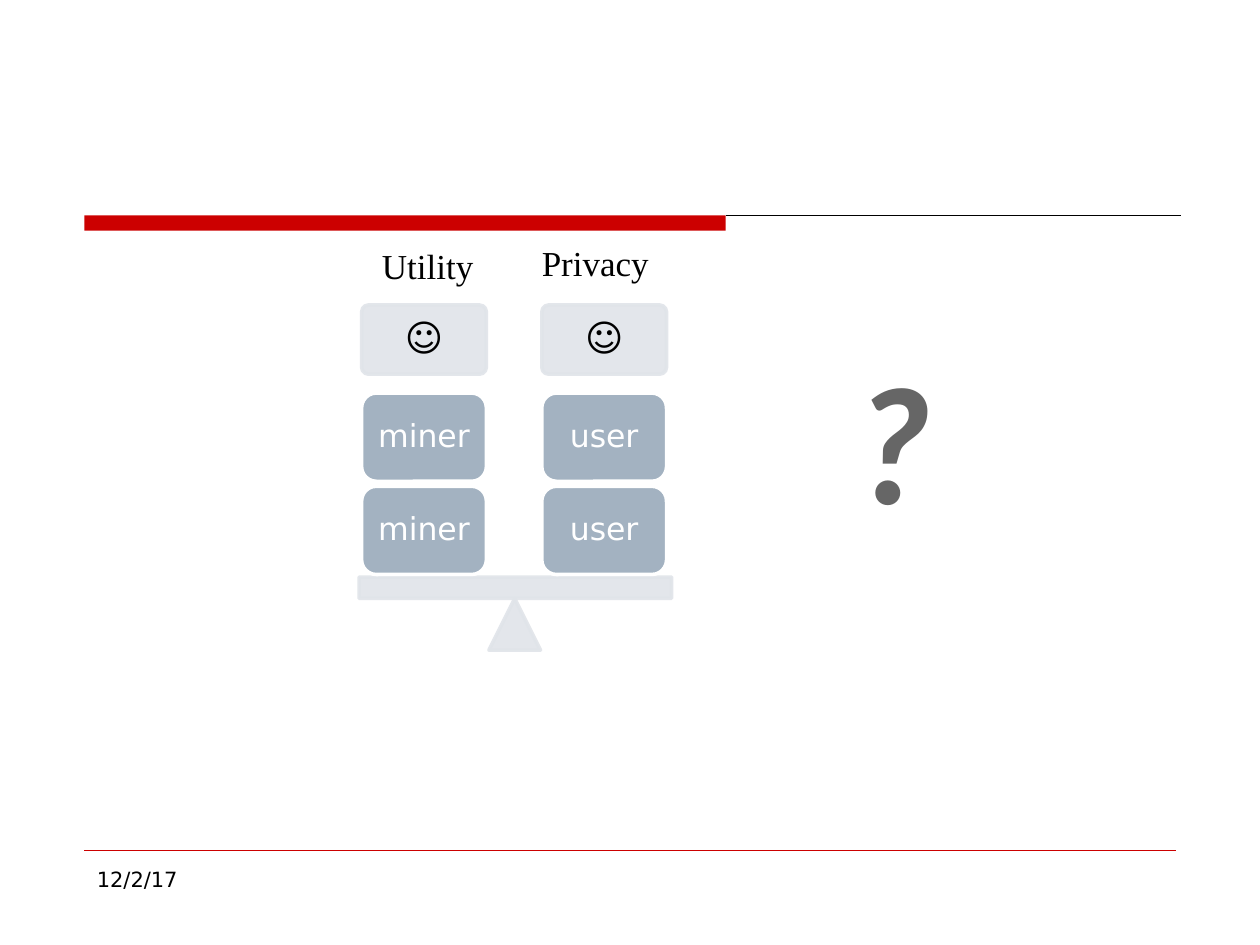
from lxml import etree
from pptx import Presentation
from pptx.dml.color import RGBColor
from pptx.enum.shapes import MSO_CONNECTOR as Connector, MSO_SHAPE as Shape
from pptx.enum.text import MSO_ANCHOR as Anchor, PP_ALIGN as Align
from pptx.oxml.ns import qn
from pptx.util import Inches, Pt

COLORS = {"red": "CC0000", "black": "000000", "pale": "E0E4E9",
          "block": "A3B2C1", "white": "FFFFFF", "gray": "666666"}
SANS, SERIF = "DejaVu Sans", "Times New Roman"

COLUMNS = [
    {"left": 2.87, "label": "Utility", "label_at": (2.56, 1.89), "blocks": ["miner", "miner"]},
    {"left": 4.30, "label": "Privacy", "label_at": (3.89, 1.87), "blocks": ["user", "user"]},
]
BLOCK_WIDTH, BLOCK_HEIGHT, BLOCK_TOP, BLOCK_STEP = 0.99, 0.70, 3.12, 0.74
FACE_TOP, FACE_HEIGHT = 2.42, 0.55
SCALE = [(Shape.ISOSCELES_TRIANGLE, (3.88, 4.75, 0.41, 0.41)),
         (Shape.RECTANGLE, (2.85, 4.58, 2.48, 0.17))]
RULES = [(5.76, 9.37, 1.71, "black", 0.5), (0.67, 9.33, 6.75, "red", 0.25)]


def rgb(name):
    return RGBColor.from_string(COLORS[name])


def write(shape, text, size, font, color, align=Align.CENTER):
    frame = shape.text_frame
    frame.word_wrap = True
    frame.text = text
    para = frame.paragraphs[0]
    para.alignment = align
    span = para.runs[0]
    span.font.size, span.font.name = Pt(size), font
    span.font.color.rgb = rgb(color)
    return para


def add_text(page, box, *style, **options):
    return write(page.shapes.add_textbox(*map(Inches, box)), *style, **options)


def add_figure(page, kind, box, fill, line=None, opacity=None):
    figure = page.shapes.add_shape(kind, *map(Inches, box))
    figure.shadow.inherit = False
    figure.fill.solid()
    figure.fill.fore_color.rgb = rgb(fill)
    if line:
        figure.line.color.rgb = rgb(line)
        figure.line.width = Pt(2)
    else:
        figure.line.fill.background()
    if opacity:
        for color in figure.element.spPr.iter(qn("a:srgbClr")):
            etree.SubElement(color, qn("a:alpha"), val=str(opacity * 1000))
    return figure


def add_rule(page, left, right, top, color, width):
    rule = page.shapes.add_connector(
        Connector.STRAIGHT, *map(Inches, (left, top, right, top)))
    rule.line.color.rgb = rgb(color)
    rule.line.width = Pt(width)
    etree.SubElement(rule.element.spPr, qn("a:effectLst"))


def add_card(page, box, fill, line, style, margin, opacity=None):
    card = add_figure(page, Shape.ROUNDED_RECTANGLE, box, fill, line, opacity)
    frame = card.text_frame
    frame.margin_left = frame.margin_right = Inches(margin)
    frame.margin_top = frame.margin_bottom = Inches(margin)
    frame.vertical_anchor = Anchor.MIDDLE
    write(card, *style).line_spacing = 0.9
    return card


def main():
    deck = Presentation()
    deck.slide_width, deck.slide_height = Inches(10), Inches(7.5)
    page = deck.slides.add_slide(deck.slide_layouts[6])

    add_figure(page, Shape.RECTANGLE, (0.67, 1.71, 5.09, 0.12), "red")
    for rule in RULES:
        add_rule(page, *rule)

    for kind, box in SCALE:
        add_figure(page, kind, box, "pale", "pale", opacity=90)

    for column in COLUMNS:
        left = column["left"]
        add_text(page, (*column["label_at"], 1.67, 0.44),
                 column["label"], 20, SERIF, "black")
        face = add_card(page, (left, FACE_TOP, BLOCK_WIDTH, FACE_HEIGHT), "pale", "pale",
                        ("☺", 21, SANS, "black"), 0.09, opacity=90)
        face.adjustments[0] = 0.1
        for row, name in enumerate(column["blocks"]):
            box = (left, BLOCK_TOP + row * BLOCK_STEP, BLOCK_WIDTH, BLOCK_HEIGHT)
            add_card(page, box, "block", "white", (name, 18, SANS, "white"), 0.07)

    question = add_text(page, (6.08, 2.62, 2, 1.72), "?", 96, "Calibri", "gray")
    question.runs[0].font.bold = question.runs[0].font.italic = True
    add_text(page, (0.67, 6.83, 2.17, 0.52), "12/2/17", 12, SANS, "black", align=Align.LEFT)
    deck.save("out.pptx")


if __name__ == "__main__":
    main()
